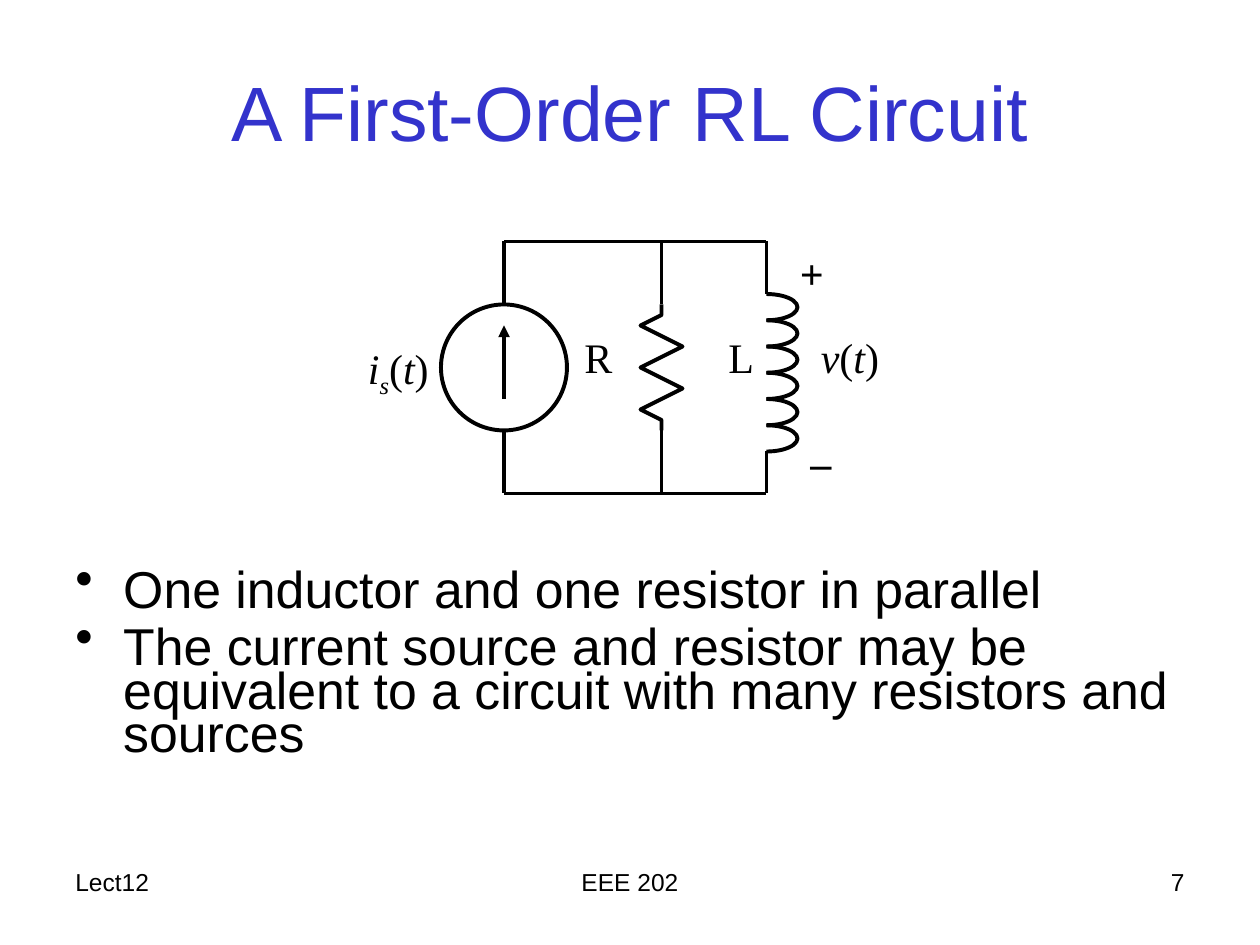
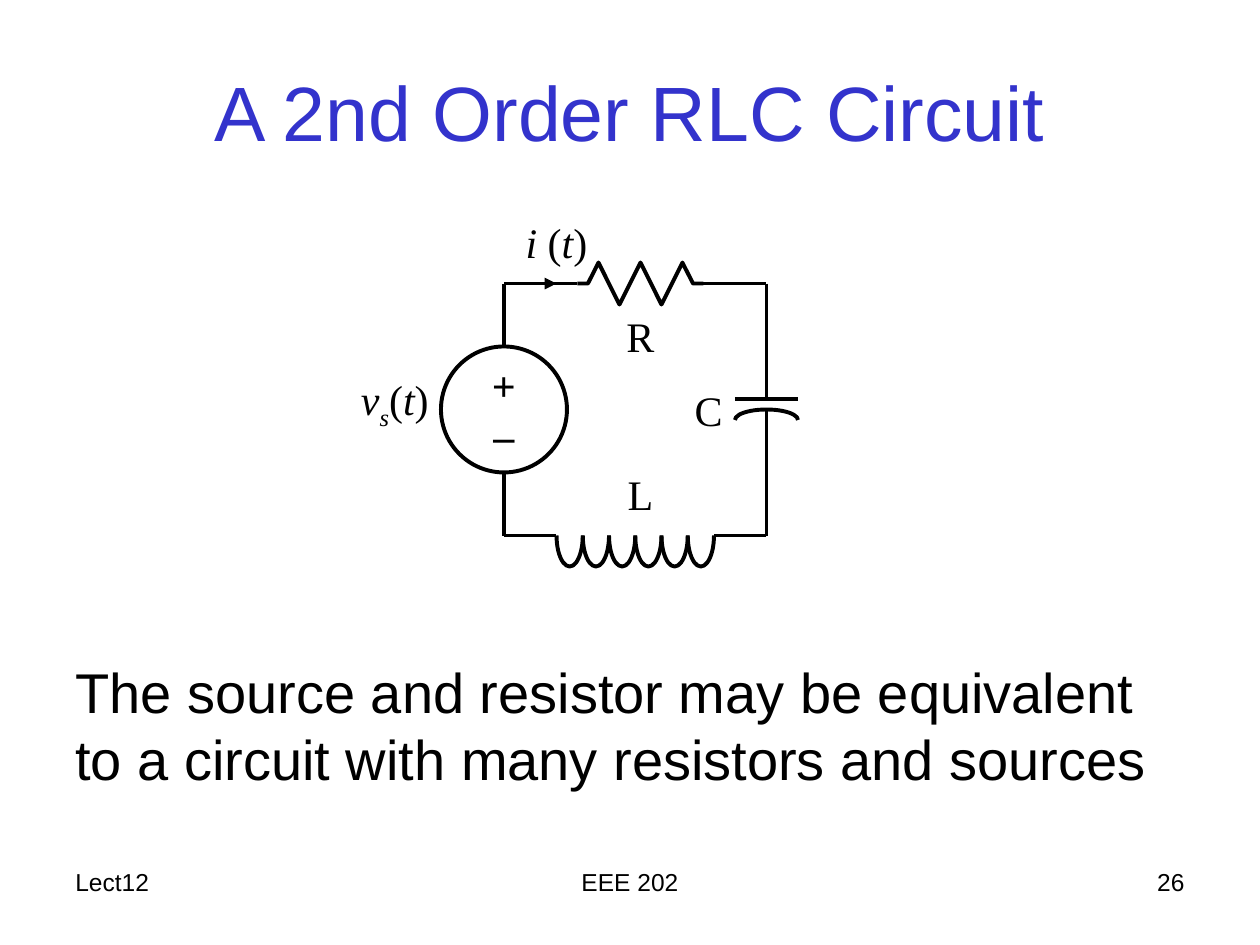
from lxml import etree
from pptx import Presentation
from pptx import util as u
from pptx.dml.color import RGBColor
from pptx.enum import shapes, text
from pptx.oxml.ns import qn

COLORS = {"title": "3333CC", "ink": "000000"}
SANS, SERIF = "Arial", "Times New Roman"
CELL = u.Inches(1) // 12  # the grid has 120 columns and 90 rows
COLUMNS, ROWS = 120, 90
ALIGN = {"l": text.PP_ALIGN.LEFT, "c": text.PP_ALIGN.CENTER, "r": text.PP_ALIGN.RIGHT}
ITALIC, SUBSCRIPT = "italic", "subscript"
OF_TIME = [("(", ""), ("t", ITALIC), (")", "")]


def cells(*counts):
    return [round(count * CELL) for count in counts]


def write(frame, paragraphs, size=24, font=SERIF, color="ink", align="l", bold=False,
          before=0, spacing=None, bullet=False, middle=False, wrap=True, grow=False):
    """Fill a text frame; a paragraph is a string or a list of (text, style) pairs."""
    frame.word_wrap = wrap
    frame.auto_size = text.MSO_AUTO_SIZE.SHAPE_TO_FIT_TEXT if grow else text.MSO_AUTO_SIZE.NONE
    frame.vertical_anchor = text.MSO_ANCHOR.MIDDLE if middle else text.MSO_ANCHOR.TOP
    for index, content in enumerate(paragraphs):
        paragraph = frame.add_paragraph() if index else frame.paragraphs[0]
        paragraph.alignment = ALIGN[align]
        paragraph.space_before = u.Pt(before)
        if spacing:
            paragraph.line_spacing = spacing
        if bullet:
            properties = paragraph._p.get_or_add_pPr()
            properties.set("marL", str(u.Inches(0.38)))
            properties.set("indent", str(-u.Inches(0.38)))
            etree.SubElement(properties, qn("a:buChar")).set("char", "•")
        for words, style in [(content, "")] if isinstance(content, str) else content:
            run = paragraph.add_run()
            run.text = words
            run.font.name, run.font.size = font, u.Pt(size)
            run.font.bold, run.font.italic = bold, bool(style)
            run.font.color.rgb = RGBColor.from_string(COLORS[color])
            if style == SUBSCRIPT:
                run._r.get_or_add_rPr().set("baseline", "-25000")


class CircuitDeck:
    """Holds the drawing style and the current slide; all lengths are grid cells."""

    def __init__(self):
        self.deck = Presentation()
        self.deck.slide_width, self.deck.slide_height = cells(COLUMNS, ROWS)
        self.slide = None

    def start_slide(self, title, number):
        self.slide = self.deck.slides.add_slide(self.deck.slide_layouts[6])
        self.words((6, 3, 108, 15), title, size=44, font=SANS, color="title",
                   align="c", middle=True)
        for left, width, footer, align in ((6, 25, "Lect12", "l"), (41, 38, "EEE 202", "c"),
                                           (89, 25, str(number), "r")):
            self.words((left, 82, width, 6), footer, size=14, font=SANS, align=align)

    def words(self, place, *paragraphs, **style):
        box = self.slide.shapes.add_textbox(*cells(*place))
        write(box.text_frame, paragraphs, **style)

    def label(self, left, top, content, width=12, height=6, **style):
        self.words((left, top, width, height), content, before=15, grow=True, **style)

    def ink(self, item):
        item.line.color.rgb = RGBColor.from_string(COLORS["ink"])
        item.line.width = u.Pt(2.25)

    def outline(self, shape):
        shape.shadow.inherit = False
        shape.fill.background()
        self.ink(shape)
        return shape

    def wire(self, *points, arrow=False):
        """Join successive points with straight lines."""
        for start, end in zip(points, points[1:]):
            line = self.slide.shapes.add_connector(shapes.MSO_CONNECTOR.STRAIGHT,
                                                   *cells(*start, *end))
            self.ink(line)
            if arrow:
                etree.SubElement(line.line._get_or_add_ln(), qn("a:tailEnd")).set("type", "triangle")
            etree.SubElement(line._element.spPr, qn("a:effectLst"))

    def source(self, left, top):
        return self.outline(self.slide.shapes.add_shape(shapes.MSO_SHAPE.OVAL,
                                                        *cells(left, top, 12, 12)))

    def resistor(self, left, top, rotation=0):
        peaks = [(x, 4 * (i % 2)) for i, x in enumerate(range(2, 12, 2))]
        zigzag = [(0, 2), (1, 2), *peaks, (11, 2), (12, 2)]
        builder = self.slide.shapes.build_freeform(*zigzag[0], scale=CELL)
        builder.add_line_segments(zigzag[1:], close=False)
        self.outline(builder.convert_to_shape(*cells(left, top))).rotation = rotation

    def arc(self, place, start, end, rotation=0):
        """Draw part of an ellipse between two clockwise angles in degrees."""
        curve = self.outline(self.slide.shapes.add_shape(shapes.MSO_SHAPE.ARC, *cells(*place)))
        for index, angle in enumerate((start, end)):
            curve.adjustments[index] = angle * 0.6  # 60000 steps a degree, scaled by 100000
        curve.rotation = rotation

    def inductor(self, x, y, upright, turns=6, pitch=2.5, width=5.9):
        """Draw a coil that runs down, or to the right, from its first end."""
        for turn in range(turns):
            along = (turn + 0.5) * pitch
            center_x, center_y = (x, y + along) if upright else (x + along, y)
            self.arc((center_x - width / 2, center_y - pitch / 2, width, pitch),
                     270, 90, rotation=0 if upright else 90)

    def capacitor(self, x, y):
        self.wire((x - 3, y), (x + 3, y))
        self.arc((x - 3, y + 1, 6, 2), 180, 0)


def rl_circuit(deck):
    source_x, resistor_x, coil_x, top, bottom = 48, 63, 73, 23, 47
    deck.start_slide("A First-Order RL Circuit", 7)
    deck.words((6, 54, 108, 21.84), "One inductor and one resistor in parallel",
               "The current source and resistor may be equivalent to a circuit "
               "with many resistors and sources",
               size=29.6, font=SANS, before=8, spacing=0.7, bullet=True)
    deck.wire((source_x, 29), (source_x, top), (coil_x, top), (coil_x, 28))
    deck.wire((source_x, 41), (source_x, bottom), (coil_x, bottom), (coil_x, 43))
    deck.wire((resistor_x, top), (resistor_x, 29))
    deck.wire((resistor_x, 41), (resistor_x, bottom))
    deck.source(42, 29)
    deck.wire((source_x, 38), (source_x, 31), arrow=True)
    deck.resistor(57, 33, rotation=270)
    deck.inductor(coil_x, 28, upright=True)
    deck.label(28, 32, [("i", ITALIC), ("s", SUBSCRIPT), *OF_TIME], 14, 6.75, align="r")
    deck.label(51, 31, "R", align="c")
    deck.label(59, 31, "L", 14, align="r")
    deck.label(77, 31, [("v", ITALIC), *OF_TIME])
    deck.label(75, 23, "+", 8, bold=True)
    deck.label(76, 41, "–", 8, bold=True)


def rlc_circuit(deck):
    left, right, top, bottom = 48, 73, 27, 51
    deck.start_slide("A 2nd Order RLC Circuit", 26)
    deck.words((6, 62, 108, 18), "The source and resistor may be equivalent to a circuit "
               "with many resistors and sources", size=32, font=SANS, before=8)
    deck.wire((left, 33), (left, top), (55, top))
    deck.wire((67, top), (right, top), (right, 38))
    deck.wire((right, 39), (right, bottom), (68, bottom))
    deck.wire((53, bottom), (left, bottom), (left, 45))
    deck.wire((51, top), (53, top), arrow=True)
    deck.resistor(55, 25)
    deck.capacitor(right, 38)
    deck.inductor(53, bottom, upright=False)
    write(deck.source(42, 33).text_frame, ["+", "–"], bold=True, align="c",
          middle=True, wrap=False)
    deck.label(28, 35, [("v", ITALIC), ("s", SUBSCRIPT), *OF_TIME], 14, 6.75, align="r")
    deck.label(47, 20, [("i ", ITALIC), *OF_TIME], height=6.75, align="c")
    deck.label(55, 29, "R", align="c")
    deck.label(56, 36, "C", 14, align="r")
    deck.label(55, 44, "L", align="c")


def main():
    circuits = CircuitDeck()
    rl_circuit(circuits)
    rlc_circuit(circuits)
    circuits.deck.save("out.pptx")


if __name__ == "__main__":
    main()
